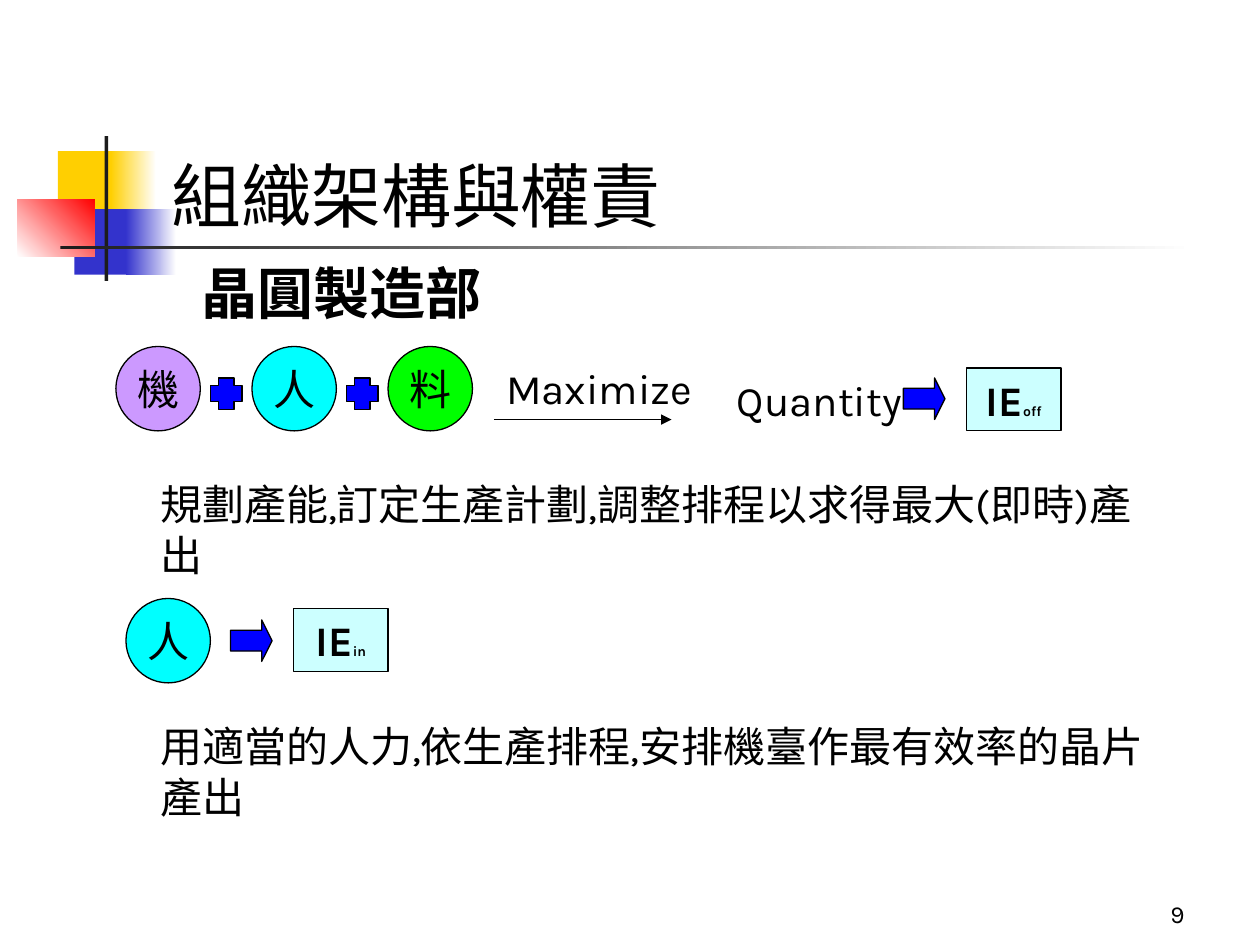
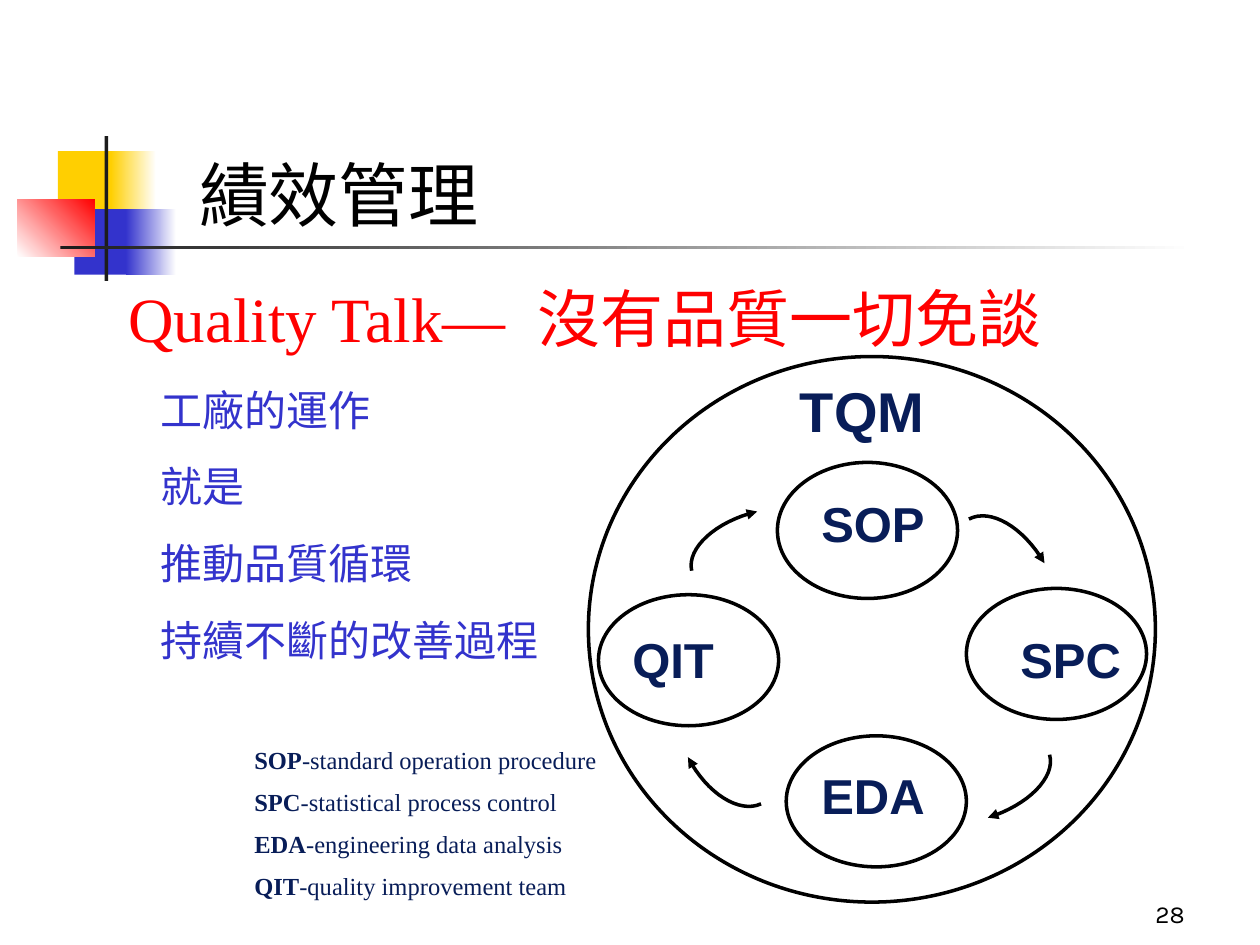
from lxml import etree
from pptx import Presentation
from pptx.dml.color import RGBColor
from pptx.enum.shapes import MSO_CONNECTOR as Connector, MSO_SHAPE as Shape
from pptx.enum.text import MSO_ANCHOR as Anchor, MSO_AUTO_SIZE as AutoSize, PP_ALIGN as Align
from pptx.oxml.ns import qn
from pptx.util import Inches, Pt

BLACK, WHITE, RED, BLUE = "000000", "FFFFFF", "FF0000", "0000FF"
YELLOW, INDIGO, CHARCOAL = "FFCF01", "3333CC", "1C1C1C"
CYAN, LILAC, GREEN, PALE_CYAN, NAVY = "00FFFF", "CC99FF", "00FF00", "CCFFFF", "081D58"
SANS, SERIF, HAND, LABEL = "Karla", "Times New Roman", "Comic Neue", "Arial"
CIRCLE, BADGE, PLUS, ARROW = 0.67, (0.75, 0.5), 0.25, 0.33


def rgb(value):
    return RGBColor.from_string(value)


def place(item, at):
    for side, value in zip(("left", "top", "width", "height"), at):
        setattr(item, side, Inches(value))


def write(frame, lines, font=SANS, size=24, color=BLACK, bold=False,
          align=Align.LEFT, before=0, spacing=1.0):
    """Fill a frame; a line is a string or a list of (text, font changes)."""
    for index, line in enumerate(lines):
        para = frame.paragraphs[0] if index == 0 else frame.add_paragraph()
        layout = {"alignment": align, "line_spacing": spacing,
                  "space_before": Pt(before if index else 0)}
        for name, value in layout.items():
            setattr(para, name, value)
        for text, changes in [(line, {})] if isinstance(line, str) else line:
            span = para.add_run()
            span.text = text
            look = {"name": font, "size": Pt(size), "bold": bold} | changes
            for name, value in look.items():
                setattr(span.font, name, value)
            span.font.color.rgb = rgb(color)


def add_text(page, at, *lines, anchor=Anchor.TOP, wrap=True, **style):
    box = page.shapes.add_textbox(*map(Inches, at))
    box.text_frame.word_wrap = wrap
    box.text_frame.vertical_anchor = anchor
    write(box.text_frame, lines, **style)


def add_figure(page, kind, at, fill=None, line=BLACK, width=0.75):
    """Add a preset shape; without a fill or line colour it has none."""
    figure = page.shapes.add_shape(kind, *map(Inches, at))
    figure.shadow.inherit = False
    if fill:
        figure.fill.solid()
        figure.fill.fore_color.rgb = rgb(fill)
    else:
        figure.fill.background()
    if line:
        figure.line.color.rgb = rgb(line)
        figure.line.width = Pt(width)
    else:
        figure.line.fill.background()
    return figure


def label(figure, line, **style):
    frame = figure.text_frame
    frame.word_wrap = False
    frame.vertical_anchor = Anchor.MIDDLE
    for side in ("left", "top", "right", "bottom"):
        setattr(frame, f"margin_{side}", 0)
    write(frame, [line], align=Align.CENTER, **style)


def add_arrowhead(stroke):
    etree.SubElement(stroke.line._get_or_add_ln(), qn("a:tailEnd"), type="triangle")


def decorate_master(deck, page):
    """Draw the title ornament and move it to the slide master."""
    ornament = [
        ((0.46, 1.2, 0.48, 0.52), [YELLOW], 0),
        ((0.88, 1.2, 0.36, 0.52), [YELLOW, WHITE], 0),
        ((0.59, 1.66, 0.46, 0.52), [INDIGO], 0),
        ((1, 1.66, 0.4, 0.52), [INDIGO, WHITE], 0),
        ((0.14, 1.58, 0.61, 0.46), [WHITE, RED], 45),
        ((0.83, 1.08, 0.03, 1.15), [CHARCOAL], 0),
        ((0.48, 1.95, 9, 0.03), [CHARCOAL, WHITE], 0),
    ]
    for number, (at, colors, angle) in enumerate(ornament, 100):
        block = add_figure(page, Shape.RECTANGLE, at, colors[0], line=None)
        if len(colors) > 1:
            block.fill.gradient()
            block.fill.gradient_angle = angle
            for stop, color in zip(block.fill.gradient_stops, colors):
                stop.color.rgb = rgb(color)
        block._element.nvSpPr.cNvPr.set("id", str(number))
        deck.slide_master.shapes._spTree.append(block._element)


def add_page(deck, layout, title, title_at, number):
    page = deck.slides.add_slide(deck.slide_layouts[layout])
    heading = page.shapes.title
    place(heading, title_at)
    heading.text_frame.vertical_anchor = Anchor.BOTTOM
    heading.text_frame.auto_size = AutoSize.NONE
    write(heading.text_frame, [title], font=SERIF, size=40)
    add_text(page, (7.42, 6.92, 2.08, 0.5), number, size=14,
             align=Align.RIGHT, anchor=Anchor.BOTTOM)
    return page


def fill_body(body, at, *lines, **style):
    place(body, at)
    body.text_frame.auto_size = AutoSize.NONE
    write(body.text_frame, lines, **style)
    for para in body.text_frame.paragraphs:
        props = para._p.get_or_add_pPr()
        props.set("marL", "0")
        props.set("indent", "0")
        etree.SubElement(props, qn("a:buNone"))


def add_resource(page, left, top, name, fill):
    label(add_figure(page, Shape.OVAL, (left, top, CIRCLE, CIRCLE), fill), name)


def add_badge(page, left, top, suffix):
    badge = add_figure(page, Shape.RECTANGLE, (left, top, *BADGE), PALE_CYAN)
    label(badge, [("IE", {}), (suffix, {"size": Pt(8)})], bold=True)


def add_block_arrow(page, left, top):
    arrow = add_figure(page, Shape.RIGHT_ARROW, (left, top, ARROW, ARROW), BLUE)
    arrow.adjustments[1] = 0.25


def add_curve(page, points, steps=16):
    """Draw a cubic curve through four control points, ending in an arrowhead."""
    def at(t):
        weights = ((1 - t) ** 3, 3 * t * (1 - t) ** 2, 3 * t * t * (1 - t), t ** 3)
        return tuple(Inches(sum(w * p[axis] for w, p in zip(weights, points)))
                     for axis in (0, 1))

    builder = page.shapes.build_freeform(*at(0))
    builder.add_line_segments([at(i / steps) for i in range(1, steps + 1)], close=False)
    curve = builder.convert_to_shape()
    curve.shadow.inherit = False
    curve.fill.background()
    curve.line.color.rgb = rgb(BLACK)
    curve.line.width = Pt(2)
    add_arrowhead(curve)


def build_organisation(page):
    add_text(page, (1.5, 2, 3.25, 0.64), "晶圓製造部", size=32, bold=True)
    plans = ["規劃產能,訂定生產計劃,調整排程以求得最大(即時)產出",
             "用適當的人力,依生產排程,安排機臺作最有效率的晶片產出"]
    for index, plan in enumerate(plans):
        fill_body(page.placeholders[index + 1], (1.17, 3.75 + 1.92 * index, 8.08, 0.9), plan)

    resources = [("機", LILAC), ("人", CYAN), ("料", GREEN)]
    for index, (name, fill) in enumerate(resources):
        left = 0.92 + 1.08 * index
        add_resource(page, left, 2.75, name, fill)
        if index < len(resources) - 1:
            add_figure(page, Shape.CROSS, (left + 0.75, 3, PLUS, PLUS), BLUE)

    ends = map(Inches, (3.92, 3.33, 5.33, 3.33))
    arrow = page.shapes.add_connector(Connector.STRAIGHT, *ends)
    arrow.line.color.rgb = rgb(BLACK)
    arrow.line.width = Pt(0.75)
    add_arrowhead(arrow)
    etree.SubElement(arrow._element.spPr, qn("a:effectLst"))
    add_text(page, (3.92, 2.83, 2, 0.5), "Maximize")
    add_text(page, (5.75, 2.92, 2, 0.5), "Quantity")
    add_block_arrow(page, 7.17, 3)
    add_badge(page, 7.67, 2.92, "off")

    add_resource(page, 1, 4.75, "人", CYAN)
    add_block_arrow(page, 1.83, 4.92)
    add_badge(page, 2.33, 4.83, "in")


def build_performance(page):
    slogan = {"font": SERIF, "size": 36, "color": RED}
    add_text(page, (0.92, 2.17, 6.58, 0.7), "Quality Talk—", **slogan)
    add_text(page, (4.17, 2.17, 4.2, 0.7), "沒有品質一切免談", wrap=False, **slogan)
    fill_body(page.placeholders[1], (1.17, 3, 3.33, 2.33),
              "工廠的運作", "就是", "推動品質循環", "持續不斷的改善過程",
              font=HAND, color=INDIGO, before=15)

    term = {"font": LABEL, "color": NAVY, "bold": True, "spacing": 0.9}
    add_figure(page, Shape.OVAL, (4.67, 2.83, 4.5, 4.33), width=2)
    add_text(page, (6.25, 3, 1.54, 0.58), "TQM", size=32, **term)
    stages = [
        ("SOP", (6.17, 3.67, 1.43, 1.08), (6.42, 3.92)),
        ("SPC", (7.67, 4.67, 1.43, 1.04), (8, 5)),
        ("EDA", (6.24, 5.84, 1.43, 1.04), (6.42, 6.08)),
        ("QIT", (4.75, 4.72, 1.43, 1.04), (4.92, 5)),
    ]
    for name, oval_at, name_at in stages:
        add_figure(page, Shape.OVAL, oval_at, WHITE, width=2)
        add_text(page, (*name_at, 1.17, 0.52), name, size=28, **term)

    cycle = [
        [(5.49, 4.53), (5.45, 4.35), (5.68, 4.14), (6.01, 4.06)],
        [(7.69, 4.12), (7.86, 4.03), (8.12, 4.18), (8.29, 4.47)],
        [(8.33, 5.99), (8.38, 6.17), (8.16, 6.39), (7.84, 6.49)],
        [(6.04, 6.38), (5.87, 6.46), (5.61, 6.3), (5.46, 6.01)],
    ]
    for points in cycle:
        add_curve(page, points)

    meanings = {"SOP": "standard operation procedure", "SPC": "statistical process control",
                "EDA": "engineering data analysis", "QIT": "quality improvement team"}
    glossary = [[(short, {"bold": True}), (f"-{meaning}", {})]
                for short, meaning in meanings.items()]
    add_text(page, (1.92, 5.89, 3.16, 1.4), *glossary, font=SERIF, size=14,
             color=NAVY, before=8.8, spacing=0.9)


def main():
    deck = Presentation()
    deck.slide_width, deck.slide_height = Inches(10), Inches(7.5)
    organisation = add_page(deck, 3, "組織架構與權責", (1.26, 0.68, 8.52, 1.25), "9")
    decorate_master(deck, organisation)
    build_organisation(organisation)
    performance = add_page(deck, 1, "績效管理", (1.48, 0.67, 8.52, 1.25), "28")
    build_performance(performance)
    deck.save("out.pptx")


if __name__ == "__main__":
    main()
